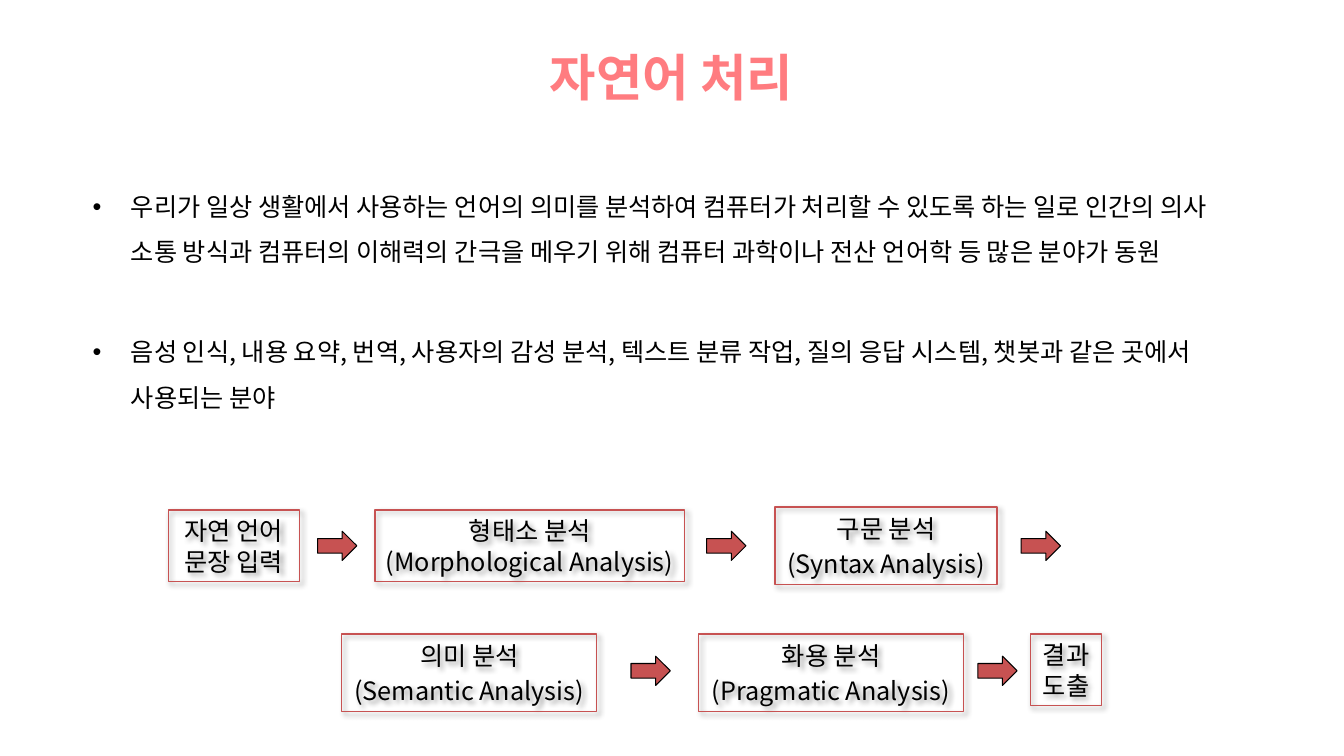
import dataclasses
import typing

import lxml.etree
import pptx
import pptx.dml.color
import pptx.enum.shapes
import pptx.enum.text
import pptx.oxml
import pptx.oxml.ns
import pptx.util

FONT = "Noto Sans CJK KR"
RED = "C75252"
BLACK = "000000"
UNIT = 0.1
ROWS = (54.15, 66.55)
NS = pptx.oxml.ns.nsdecls("a")
qn = pptx.oxml.ns.qn


@dataclasses.dataclass
class Step:
    left: float
    mid: float
    wide: float
    lines: tuple[str, str]
    loose: bool = False


@dataclasses.dataclass
class Arrow:
    left: float
    mid: float


STEPS = (
    Step(16.7, ROWS[0], 13, ("자연 언어", "문장 입력")),
    Step(37.2, ROWS[0], 30.7, ("형태소 분석", "(Morphological Analysis)")),
    Step(76.9, ROWS[0], 22, ("구문 분석", "(Syntax Analysis)"), True),
    Step(33.9, ROWS[1] + 0.2, 25.3, ("의미 분석", "(Semantic Analysis)"), True),
    Step(69.3, ROWS[1] + 0.2, 26.3, ("화용 분석", "(Pragmatic Analysis)"), True),
    Step(102.2, ROWS[1] - 0.1, 7.1, ("결과", "도출")),
)
ARROWS = (
    Arrow(31.5, ROWS[0]),
    Arrow(70.1, ROWS[0]),
    Arrow(101.3, ROWS[0]),
    Arrow(62.6, ROWS[1]),
    Arrow(97, ROWS[1]),
)
POINTS = (
    "우리가 일상 생활에서 사용하는 언어의 의미를 분석하여 컴퓨터가 처리할 수 있도록 하는 일로 "
    "인간의 의사 소통 방식과 컴퓨터의 이해력의 간극을 메우기 위해 컴퓨터 과학이나 전산 언어학 등 "
    "많은 분야가 동원",
    "음성 인식, 내용 요약, 번역, 사용자의 감성 분석, 텍스트 분류 작업, 질의 응답 시스템, "
    "챗봇과 같은 곳에서 사용되는 분야",
)


def grid(count: float) -> int:
    return pptx.util.Inches(count * UNIT)


def hue(code: str) -> pptx.dml.color.RGBColor:
    return pptx.dml.color.RGBColor.from_string(code)


def style(para: typing.Any, size: float, code: str, bold: bool = False) -> None:
    font = para.font
    font.size = pptx.util.Pt(size)
    font.bold = bold
    font.name = FONT
    font.color.rgb = hue(code)
    props = para._p.get_or_add_pPr().find(qn("a:defRPr"))
    east = lxml.etree.SubElement(props, qn("a:ea"))
    east.set("typeface", FONT)


def write(frame: typing.Any, lines: typing.Sequence[str]) -> typing.Any:
    frame.text = "\n".join(lines)
    return frame.paragraphs


def block(slide: typing.Any, kind: typing.Any, left: float, mid: float,
          wide: float, high: float, edge: str, width: float) -> typing.Any:
    shape = slide.shapes.add_shape(
        kind, grid(left), grid(mid - high / 2), grid(wide), grid(high))
    shape.shadow.inherit = False
    shape.line.color.rgb = hue(edge)
    shape.line.width = pptx.util.Pt(width)
    return shape


def shade(shape: typing.Any) -> None:
    glow = pptx.oxml.parse_xml(
        f'<a:outerShdw {NS} blurRad="50800" dist="38100" dir="2700000" '
        'algn="tl" rotWithShape="0"><a:srgbClr val="000000">'
        '<a:alpha val="40000"/></a:srgbClr></a:outerShdw>')
    shape._element.spPr.find(qn("a:effectLst")).append(glow)


def draw_step(slide: typing.Any, step: Step) -> None:
    high = 7.7 if step.loose else 7.1
    shape = block(slide, pptx.enum.shapes.MSO_SHAPE.RECTANGLE,
                  step.left, step.mid, step.wide, high, RED, 1)
    shape.fill.background()
    shade(shape)
    frame = shape.text_frame
    frame.word_wrap = False
    frame.vertical_anchor = pptx.enum.text.MSO_ANCHOR.MIDDLE
    for para in write(frame, step.lines):
        para.alignment = pptx.enum.text.PP_ALIGN.CENTER
        para.space_before = pptx.util.Pt(3 if step.loose else 0)
        style(para, 18, BLACK)


def draw_arrow(slide: typing.Any, arrow: Arrow) -> None:
    shape = block(slide, pptx.enum.shapes.MSO_SHAPE.RIGHT_ARROW,
                  arrow.left, arrow.mid, 3.9, 2.9, BLACK, 0.75)
    shape.fill.solid()
    shape.fill.fore_color.rgb = hue(RED)


def draw_title(slide: typing.Any) -> None:
    title = slide.shapes.title
    title.left, title.top = grid(35.5), grid(4)
    title.width, title.height = grid(62.2), grid(7.1)
    frame = title.text_frame
    frame.vertical_anchor = pptx.enum.text.MSO_ANCHOR.MIDDLE
    para = write(frame, ["자연어 처리"])[0]
    para.alignment = pptx.enum.text.PP_ALIGN.CENTER
    style(para, 36, "FF7C80", True)


def draw_points(slide: typing.Any) -> None:
    box = slide.shapes.add_textbox(grid(8.2), grid(17), grid(116.7), grid(48))
    frame = box.text_frame
    frame.word_wrap = True
    for para, gap in zip(write(frame, POINTS), (3, 39)):
        para.line_spacing = 1.5
        para.space_before = pptx.util.Pt(gap)
        style(para, 18, BLACK)
        props = para._p.get_or_add_pPr()
        props.set("marL", str(grid(3.8)))
        props.set("indent", str(-grid(3.8)))
        marks = (f'<a:buFont {NS} typeface="Arial"/>', f'<a:buChar {NS} char="•"/>')
        for mark in marks:
            props.find(qn("a:defRPr")).addprevious(pptx.oxml.parse_xml(mark))


def main() -> None:
    deck = pptx.Presentation()
    deck.slide_width, deck.slide_height = grid(133.33), grid(75)
    slide = deck.slides.add_slide(deck.slide_layouts[5])
    draw_title(slide)
    draw_points(slide)
    for step in STEPS:
        draw_step(slide, step)
    for arrow in ARROWS:
        draw_arrow(slide, arrow)
    deck.save("out.pptx")


if __name__ == "__main__":
    main()
